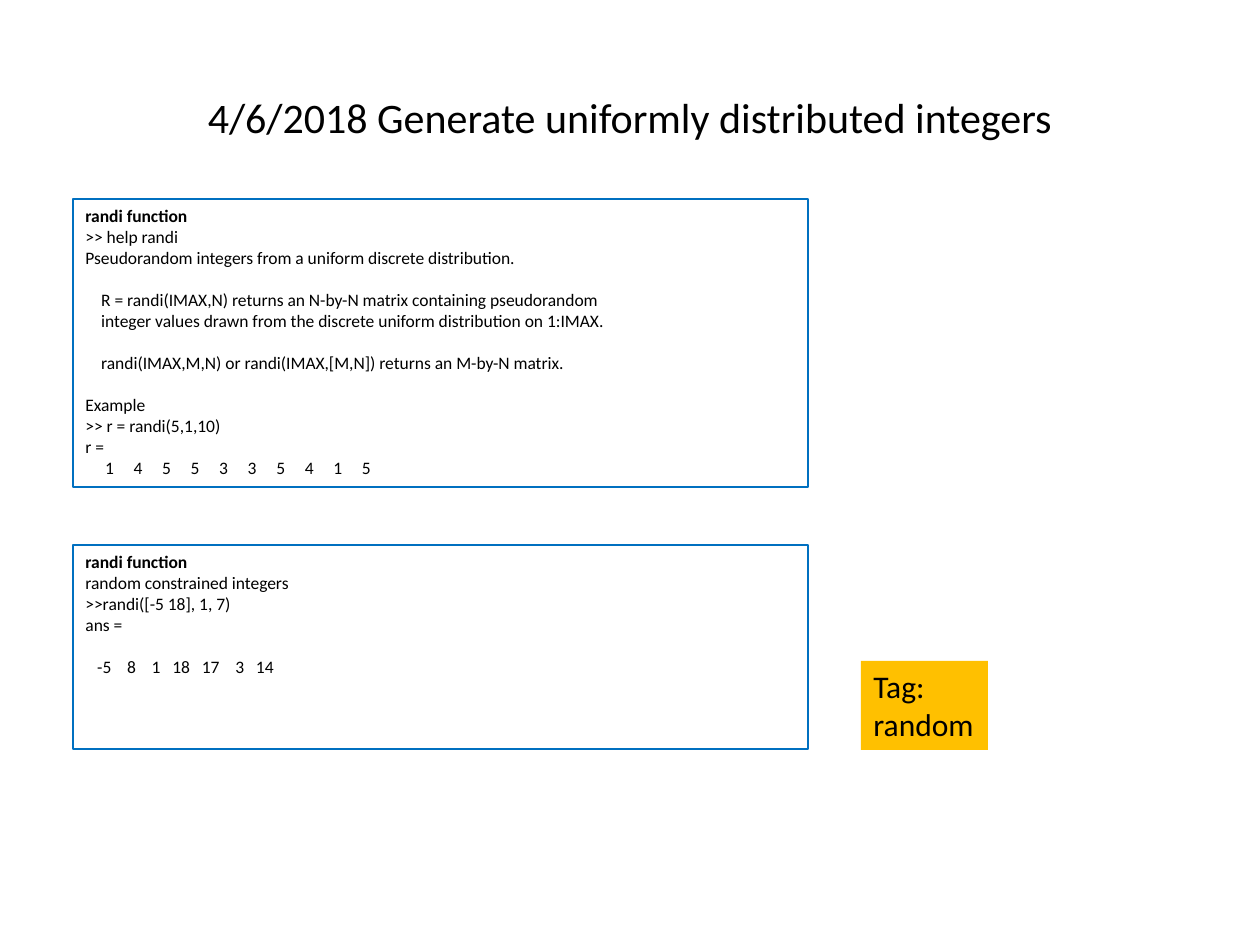
"""Build a slide on generating uniformly distributed integers with randi."""
import pptx
import pptx.dml.color
import pptx.enum.shapes
import pptx.enum.text
import pptx.util

PX = 914400 / 126


def color(hex_value):
    return pptx.dml.color.RGBColor.from_string(hex_value)


def add_text_block(slide, box, lines, size, fill=None, line=None, bold_first=False):
    left, top, width, height = (round(value * PX) for value in box)
    shape = slide.shapes.add_shape(
        pptx.enum.shapes.MSO_SHAPE.RECTANGLE, left, top, width, height)
    shape.shadow.inherit = False
    if fill:
        shape.fill.solid()
        shape.fill.fore_color.rgb = color(fill)
    else:
        shape.fill.background()
    if line:
        shape.line.color.rgb = color(line)
        shape.line.width = pptx.util.Pt(0.75)
    else:
        shape.line.fill.background()
    text_frame = shape.text_frame
    text_frame.word_wrap = True
    text_frame.vertical_anchor = pptx.enum.text.MSO_ANCHOR.TOP
    text_frame.text = "\n".join(lines)
    for index, paragraph in enumerate(text_frame.paragraphs):
        paragraph.alignment = pptx.enum.text.PP_ALIGN.LEFT
        for run in paragraph.runs:
            run.font.name = "Calibri"
            run.font.size = pptx.util.Pt(size)
            run.font.bold = bold_first and index == 0
            run.font.color.rgb = color("000000")
    return shape


presentation = pptx.Presentation()
presentation.slide_width = pptx.util.Inches(10)
presentation.slide_height = pptx.util.Inches(7.5)
slide = presentation.slides.add_slide(presentation.slide_layouts[6])

title = add_text_block(
    slide, (63, 38, 1134, 157), ["4/6/2018 Generate uniformly distributed integers"], 24)
title.text_frame.vertical_anchor = pptx.enum.text.MSO_ANCHOR.MIDDLE
title.text_frame.paragraphs[0].alignment = pptx.enum.text.PP_ALIGN.CENTER

help_lines = [
    "randi function",
    ">> help randi",
    "Pseudorandom integers from a uniform discrete distribution.",
    "    R = randi(IMAX,N) returns an N-by-N matrix containing pseudorandom",
    "    integer values drawn from the discrete uniform distribution on 1:IMAX.",
    "    randi(IMAX,M,N) or randi(IMAX,[M,N]) returns an M-by-N matrix.",
    "Example",
    ">> r = randi(5,1,10)",
    "r =",
    "     1     4     5     5     3     3     5     4     1     5",
]
range_lines = [
    "randi function",
    "random constrained integers",
    ">>randi([-5 18], 1, 7)",
    "ans =",
    "   -5    8    1   18   17    3   14",
]
code_blocks = [
    (199, 288, help_lines, (3, 5, 6)),
    (545, 204, range_lines, (4,)),
]
for top, height, lines, section_starts in code_blocks:
    code_box = add_text_block(
        slide, (73, top, 735, height), lines, 10, line="0070C0", bold_first=True)
    for index in section_starts:
        code_box.text_frame.paragraphs[index].space_before = pptx.util.Pt(12)

tag = add_text_block(slide, (861, 661, 127, 89), ["Tag:", "random"], 18, fill="FFC000")
tag.text_frame.word_wrap = False

presentation.save("out.pptx")
